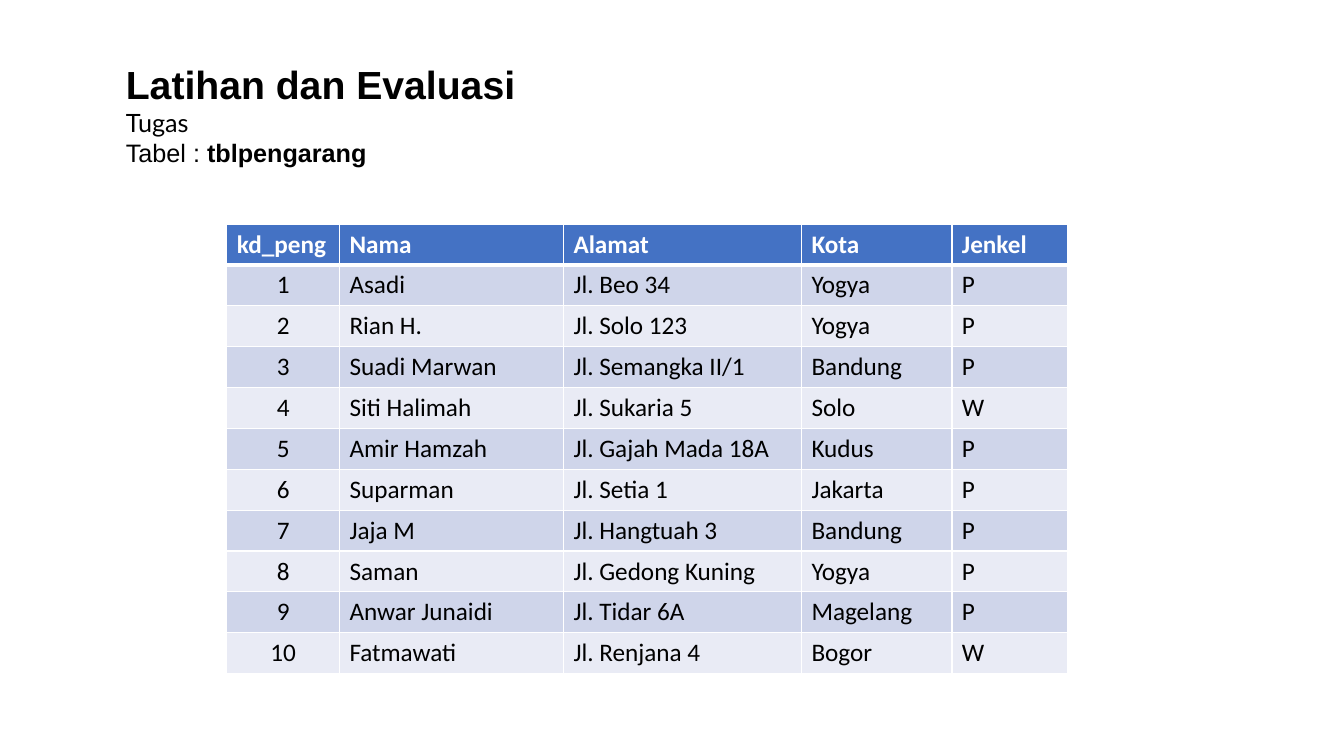
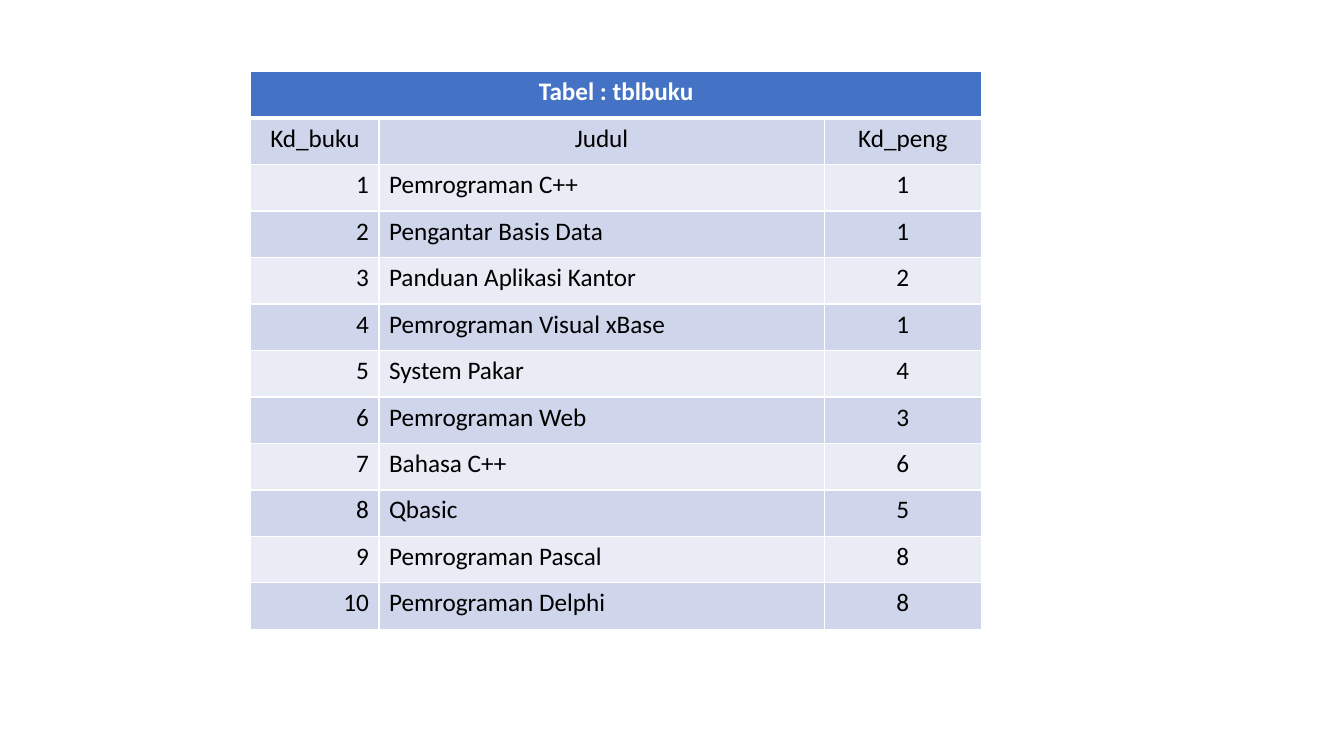
"""Build two exercise slides with the author and book tables of a database lesson."""
from dataclasses import dataclass

from lxml import etree
from pptx import Presentation
from pptx.dml.color import RGBColor
from pptx.enum.text import MSO_AUTO_SIZE, PP_ALIGN
from pptx.oxml.ns import qn
from pptx.slide import Slide
from pptx.table import _Cell
from pptx.util import Pt

LEFT, CENTER, RIGHT = PP_ALIGN.LEFT, PP_ALIGN.CENTER, PP_ALIGN.RIGHT
FIT_SHAPE = MSO_AUTO_SIZE.SHAPE_TO_FIT_TEXT

WHITE, BLACK = "FFFFFF", "000000"
HEADER_FILL = "4472C4"
BAND_FILLS = ("E9EBF5", "CFD5EA")
TABLE_FONT = "Calibri"
BODY_SIZE, TITLE_SIZE = 18, 28
THIN, THICK = 1, 3


@dataclass(frozen=True)
class TextPart:
    text: str
    font: str = "Arial"
    size: float = BODY_SIZE
    bold: bool = False
    color: str = BLACK


@dataclass(frozen=True)
class DataTable:
    left: float
    top: float
    row_height: float
    column_widths: tuple[float, ...]
    rows: tuple[tuple[str, ...], ...]
    alignments: tuple[PP_ALIGN, ...]
    heading_alignments: tuple[PP_ALIGN, ...]
    heading_rows: int = 1
    merged_title: bool = False


HEADING = (
    (TextPart("Latihan dan Evaluasi", size=TITLE_SIZE, bold=True),),
    (TextPart("Tugas ", font="Lato"),),
    (TextPart("Tabel : "), TextPart("tblpengarang", bold=True)),
)

AUTHORS = DataTable(
    left=162, top=160, row_height=29.2,
    column_widths=(80.5, 160, 170, 107.5, 82.5),
    alignments=(CENTER, LEFT, LEFT, LEFT, LEFT),
    heading_alignments=(LEFT,) * 5,
    rows=(
        ("kd_peng", "Nama", "Alamat", "Kota", "Jenkel"),
        ("1", "Asadi", "Jl. Beo 34", "Yogya", "P"),
        ("2", "Rian H.", "Jl. Solo 123", "Yogya", "P"),
        ("3", "Suadi Marwan", "Jl. Semangka II/1", "Bandung", "P"),
        ("4", "Siti Halimah", "Jl. Sukaria 5", "Solo", "W"),
        ("5", "Amir Hamzah", "Jl. Gajah Mada 18A", "Kudus", "P"),
        ("6", "Suparman", "Jl. Setia 1", "Jakarta", "P"),
        ("7", "Jaja M", "Jl. Hangtuah 3", "Bandung", "P"),
        ("8", "Saman", "Jl. Gedong Kuning", "Yogya", "P"),
        ("9", "Anwar Junaidi", "Jl. Tidar 6A", "Magelang", "P"),
        ("10", "Fatmawati", "Jl. Renjana 4", "Bogor", "W"),
    ),
)

BOOKS = DataTable(
    left=179.2, top=51.2, row_height=33.2,
    column_widths=(91.5, 318, 112.5),
    alignments=(RIGHT, LEFT, CENTER),
    heading_alignments=(CENTER,) * 3,
    heading_rows=2,
    merged_title=True,
    rows=(
        ("Tabel : tblbuku", "", ""),
        ("Kd_buku", "Judul", "Kd_peng"),
        ("1", "Pemrograman C++", "1"),
        ("2", "Pengantar Basis Data", "1"),
        ("3", "Panduan Aplikasi Kantor", "2"),
        ("4", "Pemrograman Visual xBase", "1"),
        ("5", "System Pakar", "4"),
        ("6", "Pemrograman Web", "3"),
        ("7", "Bahasa C++", "6"),
        ("8", "Qbasic", "5"),
        ("9", "Pemrograman Pascal", "8"),
        ("10", "Pemrograman Delphi", "8"),
    ),
)


def rgb(value: str) -> RGBColor:
    return RGBColor.from_string(value)


def style_run(run, part: TextPart) -> None:
    run.font.name = part.font
    run.font.size = Pt(part.size)
    run.font.bold = part.bold
    run.font.color.rgb = rgb(part.color)


def add_heading(slide: Slide, lines: tuple[tuple[TextPart, ...], ...]) -> None:
    frame = slide.shapes.add_textbox(Pt(82.8), Pt(39.6), Pt(480), Pt(106.5)).text_frame
    frame.word_wrap = True
    frame.auto_size = FIT_SHAPE
    frame.text = "\n".join(line[0].text for line in lines)
    for paragraph, line in zip(frame.paragraphs, lines):
        for part in line[1:]:
            paragraph.add_run().text = part.text
        for run, part in zip(paragraph.runs, line):
            style_run(run, part)


def set_borders(cell: _Cell, top: float, bottom: float) -> None:
    properties = cell._tc.get_or_add_tcPr()
    for side, width in (("L", THIN), ("R", THIN), ("T", top), ("B", bottom)):
        line = etree.SubElement(properties, qn(f"a:ln{side}"), w=str(Pt(width)))
        fill = etree.SubElement(line, qn("a:solidFill"))
        etree.SubElement(fill, qn("a:srgbClr"), val=WHITE)


def add_data_table(slide: Slide, data: DataTable) -> None:
    row_count, column_count = len(data.rows), len(data.column_widths)
    table = slide.shapes.add_table(
        row_count, column_count, Pt(data.left), Pt(data.top),
        Pt(sum(data.column_widths)), Pt(data.row_height * row_count),
    ).table
    for column, width in zip(table.columns, data.column_widths):
        column.width = Pt(width)
    if data.merged_title:
        table.cell(0, 0).merge(table.cell(0, column_count - 1))
    for row, texts in enumerate(data.rows):
        table.rows[row].height = Pt(data.row_height)
        is_header = row == 0
        alignments = data.heading_alignments if row < data.heading_rows else data.alignments
        for column, text in enumerate(texts):
            cell = table.cell(row, column)
            if cell.is_spanned:
                continue
            set_borders(cell, THICK if row == 1 else THIN, THICK if is_header else THIN)
            cell.fill.solid()
            cell.fill.fore_color.rgb = rgb(HEADER_FILL if is_header else BAND_FILLS[row % 2])
            cell.text_frame.text = text
            paragraph = cell.text_frame.paragraphs[0]
            paragraph.alignment = alignments[column]
            color = WHITE if is_header else BLACK
            style_run(paragraph.runs[0], TextPart(text, TABLE_FONT, bold=is_header, color=color))


def main() -> None:
    deck = Presentation()
    deck.slide_width, deck.slide_height = Pt(960), Pt(540)
    blank = deck.slide_layouts[6]
    author_slide = deck.slides.add_slide(blank)
    add_heading(author_slide, HEADING)
    add_data_table(author_slide, AUTHORS)
    add_data_table(deck.slides.add_slide(blank), BOOKS)
    deck.save("out.pptx")


main()
